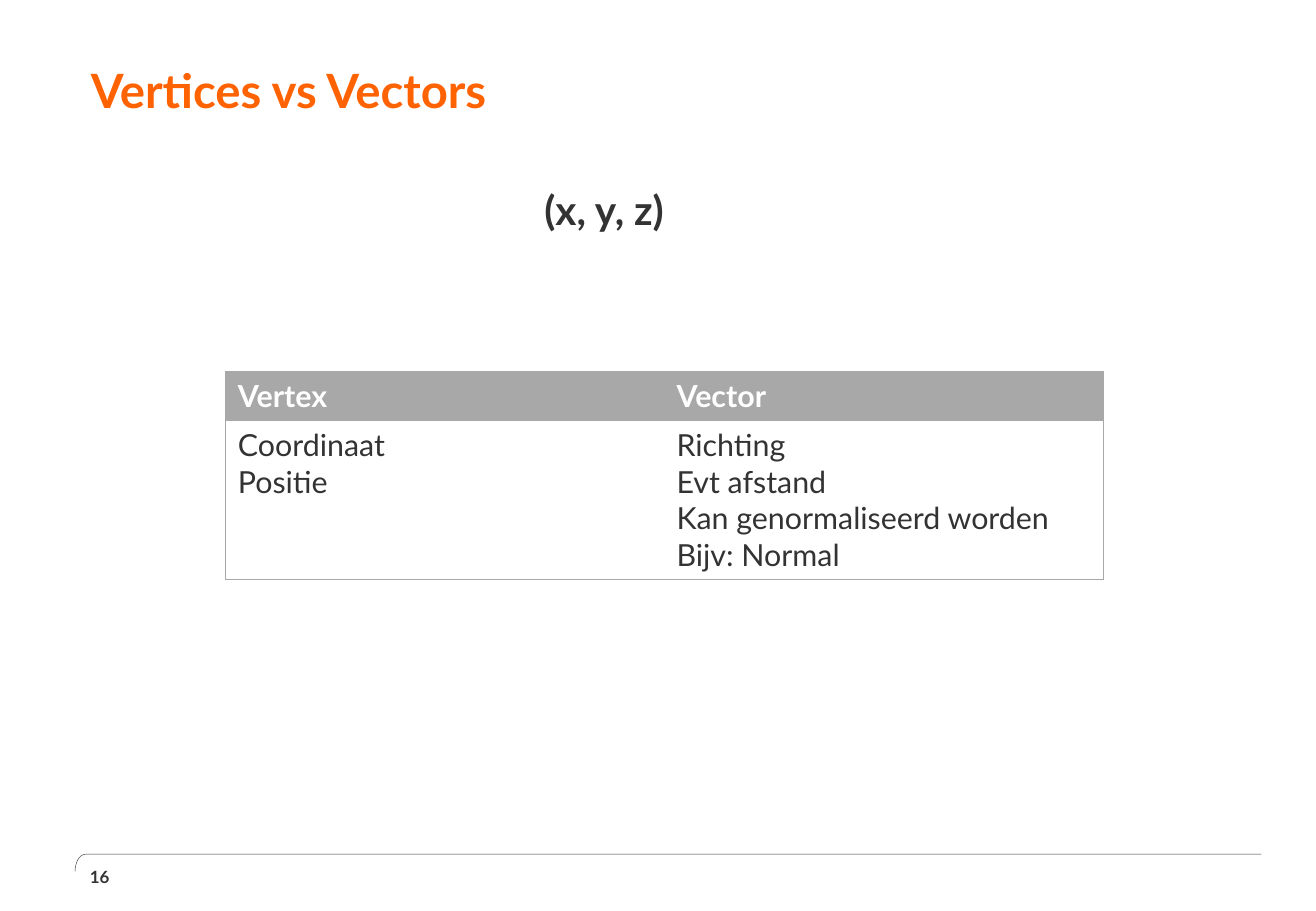
from lxml import etree
from pptx import Presentation
from pptx.dml.color import RGBColor
from pptx.enum.text import MSO_ANCHOR
from pptx.oxml.ns import qn
from pptx.util import Cm, Pt

MIDDLE, TOP = MSO_ANCHOR.MIDDLE, MSO_ANCHOR.TOP
FONT = "Lato"
COLORS = {"title": "FF6200", "text": "333333", "grid": "A8A8A8", "white": "FFFFFF"}
HEADINGS = ["Vertex", "Vector"]
PROPERTIES = [
    ["Coordinaat", "Positie"],
    ["Richting", "Evt afstand", "Kan genormaliseerd worden", "Bijv: Normal"],
]


def color(name):
    """Return a palette color."""
    return RGBColor.from_string(COLORS[name])


def add_span(para, text, size, color_name, bold):
    """Add one formatted run to a paragraph."""
    span = para.add_run()
    span.text = text
    span.font.name = FONT
    span.font.size = Pt(size)
    span.font.bold = bold
    span.font.color.rgb = color(color_name)


def add_label(page, box, text, size, color_name, anchor=MIDDLE, inset=0):
    """Place one bold line of text in a box and return its paragraph."""
    frame = page.shapes.add_textbox(*map(Cm, box)).text_frame
    frame.word_wrap = True
    frame.vertical_anchor = anchor
    frame.margin_left = frame.margin_right = Cm(inset)
    frame.margin_top = frame.margin_bottom = Cm(inset)
    para = frame.paragraphs[0]
    add_span(para, text, size, color_name, True)
    return para


def add_footer(page, box, number):
    """Draw the rule with its rounded left end and the page number below."""
    left, top, width, height = box
    corner, steps = 0.25, 12
    points = [(left + width, top)]
    for step in range(steps + 1):
        t = step / steps
        across = (1 - t) ** 3
        down = 3 * (1 - t) * t ** 2 + t ** 3
        points.append((left + corner * across, top + height * down))
    points = [(Cm(x), Cm(y)) for x, y in points]
    builder = page.shapes.build_freeform(*points[0])
    builder.add_line_segments(points[1:], close=False)
    rule = builder.convert_to_shape()
    rule.shadow.inherit = False
    rule.fill.background()
    rule.line.color.rgb = color("text")
    rule.line.width = Pt(0.25)
    add_label(page, (left + 0.31, top + 0.2, 1.12, 0.53), number, 10, "text")


def set_borders(cell, visible):
    """Draw the named cell edges and hide the others."""
    properties = cell._tc.get_or_add_tcPr()
    for index, side in enumerate("LRTB"):
        edge = etree.Element(qn(f"a:ln{side}"), w=str(Pt(0.5)))
        if side in visible:
            fill = etree.SubElement(edge, qn("a:solidFill"))
            etree.SubElement(fill, qn("a:srgbClr"), val=COLORS["grid"])
        else:
            etree.SubElement(edge, qn("a:noFill"))
        properties.insert(index, edge)


def add_comparison(page, box):
    """Place the table that sets vertices against vectors."""
    table = page.shapes.add_table(2, 2, *map(Cm, box)).table
    table.first_row = table.horz_banding = False
    header_height = 1.03
    table.rows[0].height = Cm(header_height)
    table.rows[1].height = Cm(box[3] - header_height)
    rows = [
        ([[heading] for heading in HEADINGS], "grid", "white", True),
        (PROPERTIES, "white", "text", False),
    ]
    for row, (contents, fill, ink, bold) in enumerate(rows):
        for column, lines in enumerate(contents):
            cell = table.cell(row, column)
            cell.fill.solid()
            cell.fill.fore_color.rgb = color(fill)
            set_borders(cell, "LR"[column] + ("TB" if row == 0 else "TB"))
            frame = cell.text_frame
            for index, line in enumerate(lines):
                para = frame.add_paragraph() if index else frame.paragraphs[0]
                add_span(para, line, 18, ink, bold)


def main():
    """Build and save the slide."""
    deck = Presentation()
    deck.slide_width, deck.slide_height = Cm(27.51), Cm(19.05)
    page = deck.slides.add_slide(deck.slide_layouts[6])
    add_footer(page, (1.57, 17.86, 24.8, 0.36), "16")
    title = add_label(page, (1.9, 0.79, 23.67, 2.36), "Vertices vs Vectors", 28, "title")
    title.line_spacing = Pt(28)
    add_comparison(page, (4.72, 7.77, 18.34, 4.34))
    add_label(page, (11.28, 3.76, 3.63, 1.22), "(x, y, z)", 24, "text", TOP, 0.1)
    deck.save("out.pptx")


if __name__ == "__main__":
    main()
